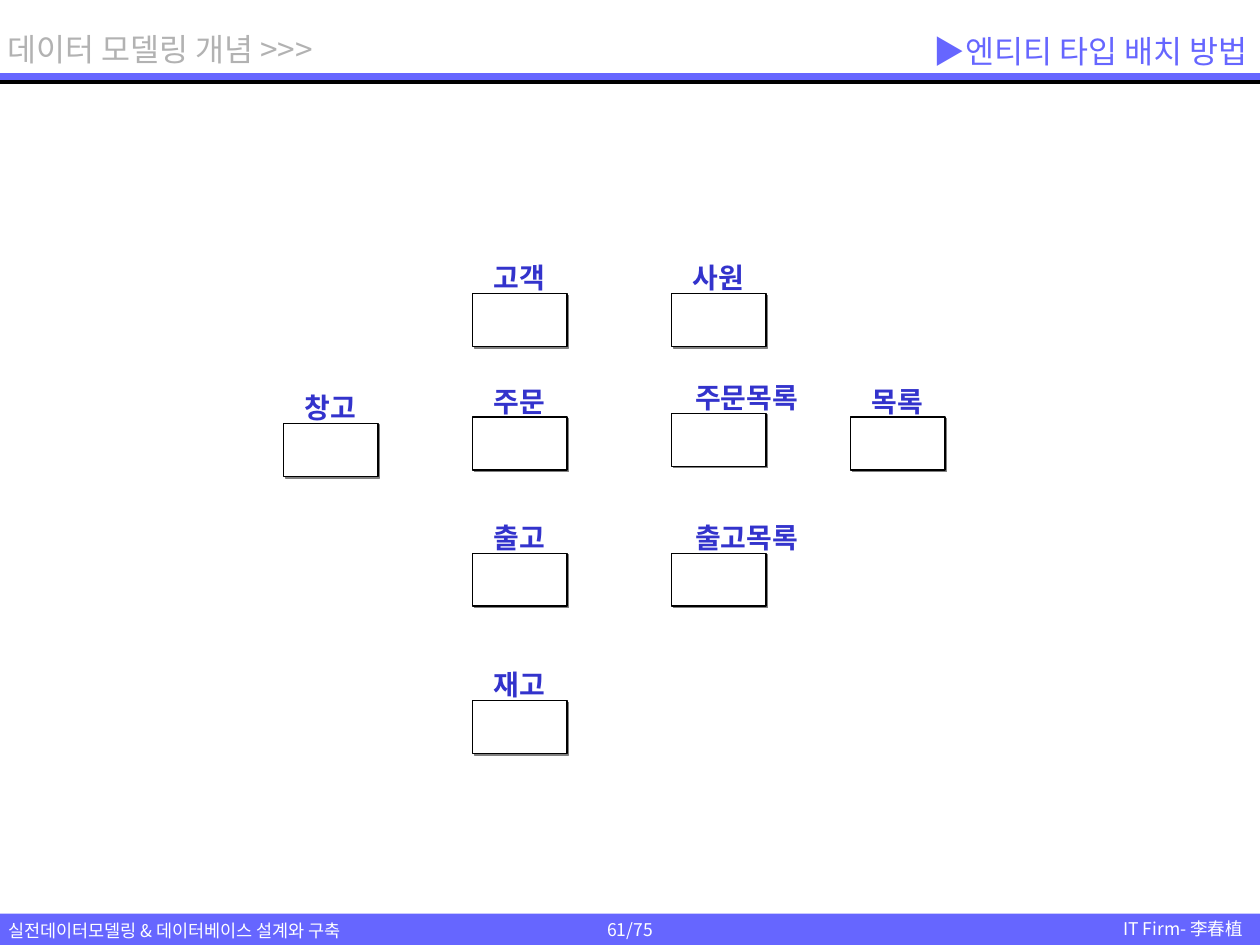
"""Build the entity type placement slide."""
from lxml.etree import SubElement
from pptx import Presentation
from pptx.dml.color import RGBColor
from pptx.enum.shapes import MSO_CONNECTOR, MSO_SHAPE
from pptx.enum.text import MSO_ANCHOR, MSO_AUTO_SIZE, PP_ALIGN
from pptx.oxml.ns import qn
from pptx.util import Inches, Pt

FONT = "Noto Sans CJK KR"
ACCENT, LABEL, GREY, WHITE, BLACK = "6666FF", "3333CC", "B2B2B2", "FFFFFF", "000000"


def color(value):
    """Turn a hex string into a color."""
    return RGBColor.from_string(value)


def write(shape, text, size, fill, align=PP_ALIGN.LEFT, anchor=MSO_ANCHOR.TOP, bold=False, wrap=False):
    """Put one formatted paragraph into a shape."""
    frame = shape.text_frame
    frame.text = text
    paragraph = frame.paragraphs[0]
    paragraph.alignment = align
    for name, value in {"word_wrap": wrap, "auto_size": MSO_AUTO_SIZE.NONE, "vertical_anchor": anchor}.items():
        setattr(frame, name, value)
    font = paragraph.runs[0].font
    for name, value in {"name": FONT, "size": Pt(size), "bold": bold}.items():
        setattr(font, name, value)
    font.color.rgb = color(fill)
    SubElement(paragraph.runs[0]._r.get_or_add_rPr(), qn("a:ea"), typeface=FONT)


presentation = Presentation()
presentation.slide_width, presentation.slide_height = Inches(10), Inches(7.5)
slide = presentation.slides.add_slide(presentation.slide_layouts[5])
shapes = slide.shapes

title = shapes.title
for name, value in {"left": 5, "top": 0.19, "width": 5, "height": 0.43}.items():
    setattr(title, name, Inches(value))
write(title, "▶엔티티 타입 배치 방법", 18, ACCENT, PP_ALIGN.RIGHT, MSO_ANCHOR.MIDDLE, wrap=True)

for top, height in [(7.25, 0.25), (0.58, 0.06)]:
    bar = shapes.add_shape(MSO_SHAPE.RECTANGLE, 0, Inches(top), presentation.slide_width, Inches(height))
    bar.shadow.inherit = False
    bar.fill.solid()
    bar.fill.fore_color.rgb = color(ACCENT)
    bar.line.fill.background()
    if top > 1:
        write(bar, "61/75", 10, WHITE, PP_ALIGN.CENTER, MSO_ANCHOR.MIDDLE)

for step in range(3):
    height = Inches(0.64 + 0.01 * step)
    rule = shapes.add_connector(MSO_CONNECTOR.STRAIGHT, 0, height, presentation.slide_width, height)
    rule.line.color.rgb = color(BLACK)
    rule.line.width = Pt(0.75)
    SubElement(rule._element.spPr, qn("a:effectLst"))

for text, left, top, width, height, size, fill, align in [
    ("실전데이터모델링 & 데이터베이스 설계와 구축", -0.03, 7.25, 3.13, 0.27, 10, WHITE, PP_ALIGN.LEFT),
    ("IT Firm- 李春植", 8.63, 7.24, 1.33, 0.27, 10, WHITE, PP_ALIGN.RIGHT),
    ("데이터 모델링 개념 >>>", -0.04, 0.19, 2.8, 0.4, 18, GREY, PP_ALIGN.LEFT),
]:
    box = shapes.add_textbox(Inches(left), Inches(top), Inches(width), Inches(height))
    write(box, text, size, fill, align, wrap=align == PP_ALIGN.RIGHT)

columns = [2.25, 3.75, 5.33, 6.75]
rows = [2.33, 3.31, 4.39, 5.56]
entities = [
    ("고객", 1, 0, 0), ("사원", 2, 0, 0), ("주문", 1, 1, 0),
    ("주문목록", 2, 1, -0.03), ("목록", 3, 1, 0), ("출고목록", 2, 2, 0),
    ("출고", 1, 2, 0), ("재고", 1, 3, 0), ("창고", 0, 1, 0.05),
]
for name, column, row, shift in entities:
    left, top = columns[column], rows[row] + shift
    long_name = len(name) > 2
    label = shapes.add_textbox(Inches(left + (0.09 if long_name else 0.07)), Inches(top - 0.31),
                               Inches(0.21 + 0.2 * len(name)), Inches(0.37))
    write(label, name, 16, LABEL, bold=True)
    entity = shapes.add_shape(MSO_SHAPE.RECTANGLE, Inches(left), Inches(top), Inches(0.75), Inches(0.42))
    entity.fill.solid()
    entity.fill.fore_color.rgb = color(WHITE)
    entity.line.color.rgb = color(BLACK)
    entity.line.width = Pt(0.75)
    entity.shadow.inherit = False
    effects = entity._element.spPr.find(qn("a:effectLst"))
    shadow = SubElement(effects, qn("a:outerShdw"), dist=str(Pt(1.4)), dir="2700000", algn="ctr", rotWithShape="0")
    SubElement(shadow, qn("a:srgbClr"), val="808080")

presentation.save("out.pptx")
